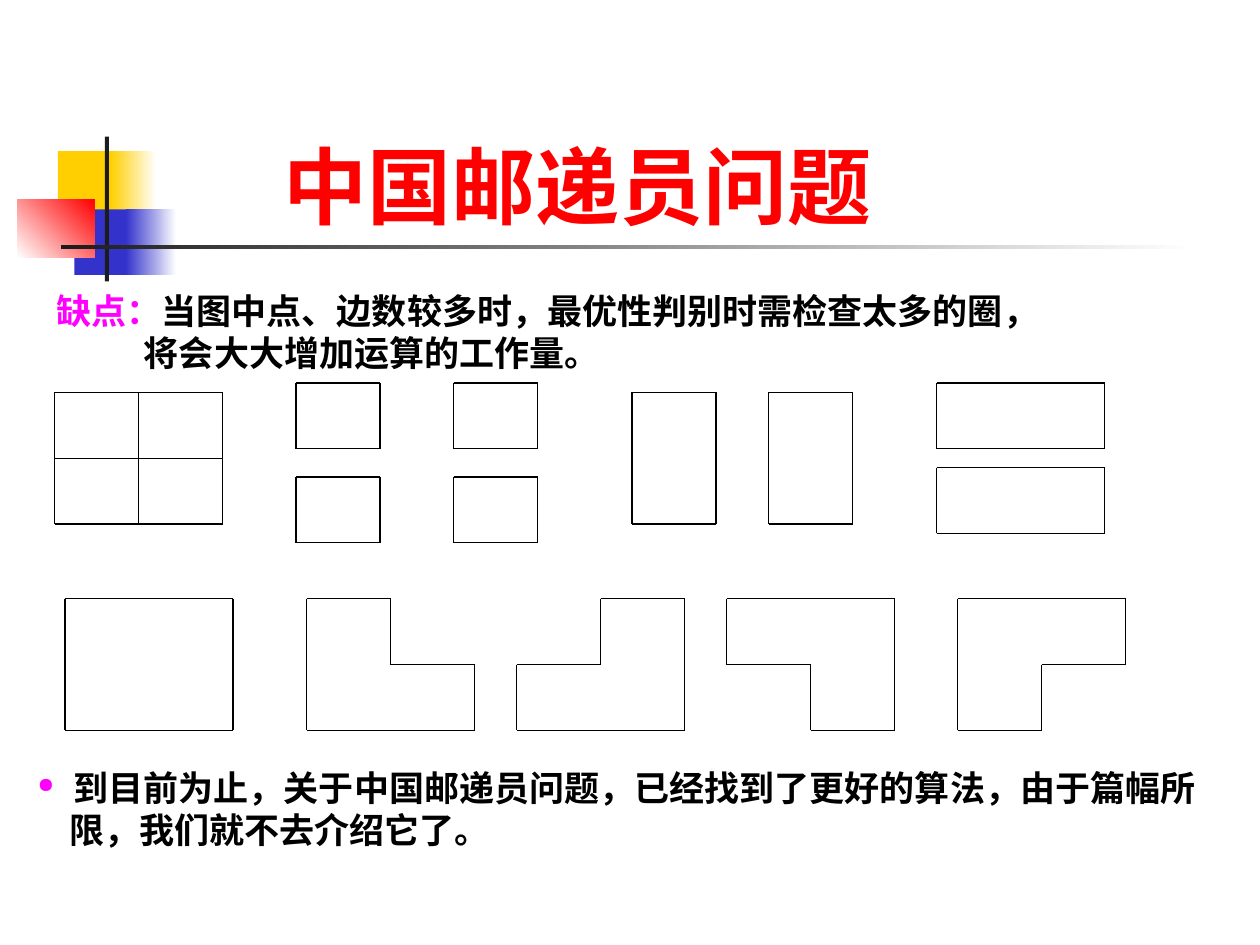
import lxml.etree
import pptx
import pptx.dml.color
import pptx.enum.shapes
import pptx.enum.text
import pptx.oxml.ns
import pptx.util

Pt = pptx.util.Pt
CELL_WIDTH, CELL_HEIGHT = 48, 37.56
UPPER_ROW, SPLIT_ROW, LOWER_ROW = 224.25, 218.9, 342.2
TL, TR, BL, BR = (0, 0), (1, 0), (0, 1), (1, 1)

# Left, top and the regions, each a list of unit cells, of every figure
FIGURES = [
    (31.2, UPPER_ROW, [[TL], [TR], [BL], [BR]]),
    *[(left, top, [[TL]]) for top in (SPLIT_ROW, 272.55) for left in (169.2, 259.2)],
    *[(left, UPPER_ROW, [[TL, BL]]) for left in (361.2, 439.2)],
    *[(535.2, top, [[TL, TR]]) for top in (SPLIT_ROW, 267.2)],
    (37.2, LOWER_ROW, [[TL, TR, BL, BR]]),
    (175.2, LOWER_ROW, [[TL, BL, BR]]),
    (295.2, LOWER_ROW, [[TR, BL, BR]]),
    (415.2, LOWER_ROW, [[TL, TR, BR]]),
    (547.2, LOWER_ROW, [[TL, TR, BL]]),
]

# Left, top, width, height, colours and gradient angle
ORNAMENTS = [
    (33.1, 86.4, 34.6, 37.4, ["FFCF01"], 0),
    (63.4, 86.4, 25.9, 37.4, ["FFCF01", "FFFFFF"], 0),
    (42.5, 119.7, 33.1, 37.4, ["3333CC"], 0),
    (72, 119.7, 28.8, 37.4, ["3333CC", "FFFFFF"], 0),
    (10, 113.8, 44, 33.2, ["FFFFFF", "FF0000"], 45),
    (59.9, 78, 2.3, 82.8, ["1C1C1C"], 0),
    (34.7, 140, 648, 2.5, ["1C1C1C", "FFFFFF"], 0),
]


def rgb(hex_colour):
    return pptx.dml.color.RGBColor.from_string(hex_colour)


def add_ornament(slide, left, top, width, height, colours, angle):
    block = slide.shapes.add_shape(
        pptx.enum.shapes.MSO_SHAPE.RECTANGLE, Pt(left), Pt(top), Pt(width), Pt(height))
    block.shadow.inherit = False
    block.line.fill.background()
    if len(colours) == 1:
        block.fill.solid()
        block.fill.fore_color.rgb = rgb(colours[0])
        return
    block.fill.gradient()
    block.fill.gradient_angle = angle
    for stop, colour, position in zip(block.fill.gradient_stops, colours, (0, 1)):
        stop.color.rgb = rgb(colour)
        stop.position = position


def add_edge(slide, start, end):
    edge = slide.shapes.add_connector(
        pptx.enum.shapes.MSO_CONNECTOR.STRAIGHT, *map(Pt, start + end))
    edge.line.color.rgb = rgb("000000")
    edge.line.width = Pt(0.75)
    lxml.etree.SubElement(edge._element.spPr, pptx.oxml.ns.qn("a:effectLst"))


def region_outline(cells):
    """Return the unit edges that belong to exactly one cell."""
    outline = set()
    for x, y in cells:
        outline ^= {
            ((x, y), (x + 1, y)), ((x, y + 1), (x + 1, y + 1)),
            ((x, y), (x, y + 1)), ((x + 1, y), (x + 1, y + 1)),
        }
    return outline


def add_figure(slide, left, top, regions):
    edges = set().union(*map(region_outline, regions))
    for edge in sorted(edges):
        start, end = [(left + x * CELL_WIDTH, top + y * CELL_HEIGHT) for x, y in edge]
        add_edge(slide, start, end)


def add_text(slide, left, top, width, height, size, lines, anchor="TOP"):
    """Add a box of lines, each a left margin and its (text, colour) runs."""
    box = slide.shapes.add_textbox(Pt(left), Pt(top), Pt(width), Pt(height))
    frame = box.text_frame
    frame.word_wrap = True
    frame.vertical_anchor = pptx.enum.text.MSO_ANCHOR[anchor]
    for index, (margin, runs) in enumerate(lines):
        paragraph = frame.add_paragraph() if index else frame.paragraphs[0]
        paragraph._p.get_or_add_pPr().set("marL", str(Pt(margin)))
        for text, colour in runs:
            run = paragraph.add_run()
            run.text = text
            run.font.name = "Times New Roman"
            run.font.size = Pt(size)
            run.font.bold = True
            run.font.color.rgb = rgb(colour)
    return frame


def add_bullet(paragraph, colour):
    """Hang a round bullet in the paragraph's left margin."""
    properties = paragraph._p.get_or_add_pPr()
    properties.set("indent", "-" + properties.get("marL"))
    qn = pptx.oxml.ns.qn
    bullet_colour = lxml.etree.SubElement(properties, qn("a:buClr"))
    lxml.etree.SubElement(bullet_colour, qn("a:srgbClr"), val=colour)
    lxml.etree.SubElement(properties, qn("a:buSzPct"), val="60000")
    lxml.etree.SubElement(properties, qn("a:buChar"), char="●")


def main():
    presentation = pptx.Presentation()
    presentation.slide_width, presentation.slide_height = Pt(720), Pt(540)
    slide = presentation.slides.add_slide(presentation.slide_layouts[6])

    for ornament in ORNAMENTS:
        add_ornament(slide, *ornament)
    add_text(slide, 90.7, 43.2, 484.6, 95, 48,
             [(64, [("中国邮递员问题", "FF0000")])], "BOTTOM")
    for figure in FIGURES:
        add_figure(slide, *figure)
    add_text(slide, 25.2, 162, 578.2, 55.4, 20, [
        (0, [("缺点：", "FF00FF"),
             ("当图中点、边数较多时，最优性判别时需检查太多的圈，", "000000")]),
        (50, [("将会大大增加运算的工作量。", "000000")]),
    ])
    closing = add_text(slide, 14.4, 434.2, 689, 55.4, 20, [
        (20.6, [("到目前为止，关于中国邮递员问题，已经找到了更好的算法，由于篇幅所", "000000")]),
        (18, [("限，我们就不去介绍它了。", "000000")]),
    ])
    add_bullet(closing.paragraphs[0], "FF00FF")
    presentation.save("out.pptx")


if __name__ == "__main__":
    main()
